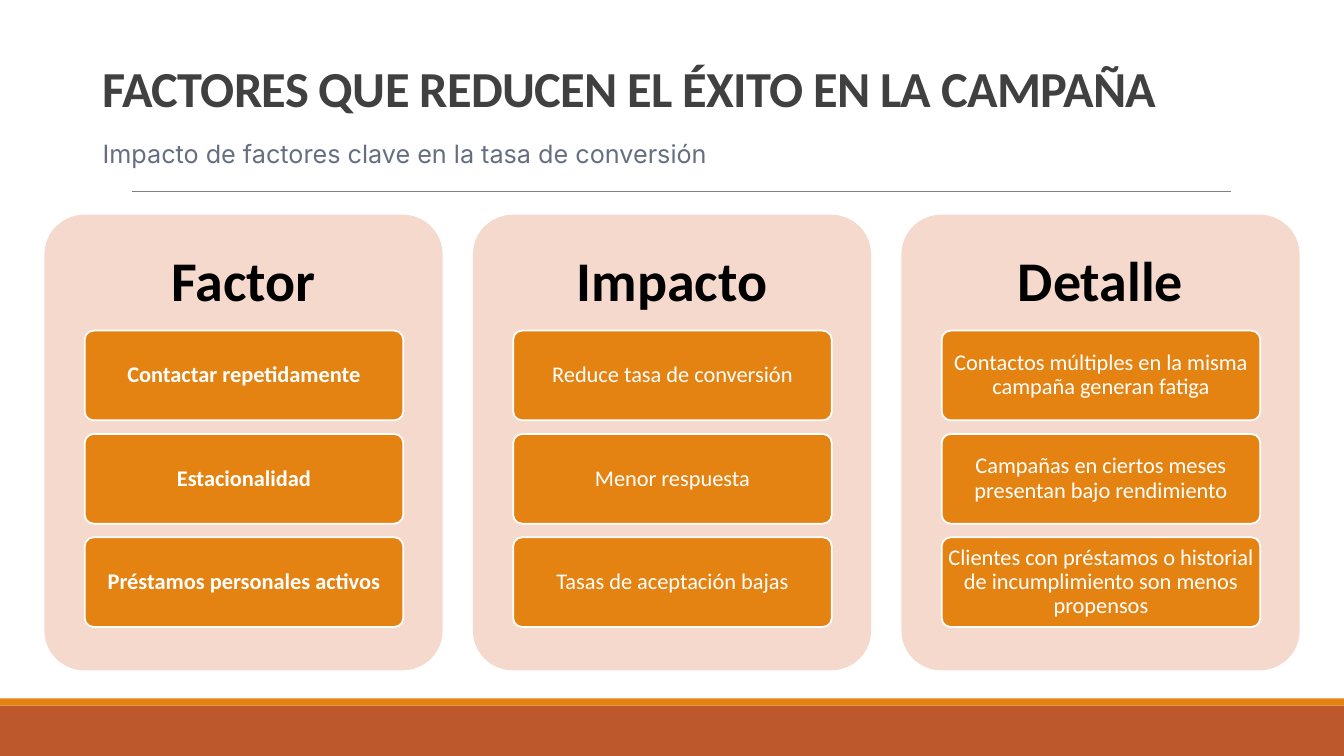
"""Build the slide on the factors that reduce campaign success."""
from pptx import Presentation
from pptx.dml.color import RGBColor
from pptx.enum.shapes import MSO_CONNECTOR, MSO_SHAPE
from pptx.enum.text import MSO_ANCHOR, MSO_AUTO_SIZE, PP_ALIGN
from pptx.oxml.ns import qn
from pptx.util import Inches, Pt
from lxml import etree

RECT, ROUNDED = MSO_SHAPE.RECTANGLE, MSO_SHAPE.ROUNDED_RECTANGLE
STRAIGHT = MSO_CONNECTOR.STRAIGHT
MIDDLE, BOTTOM = MSO_ANCHOR.MIDDLE, MSO_ANCHOR.BOTTOM
LEFT, CENTER = PP_ALIGN.LEFT, PP_ALIGN.CENTER
NO_FIT, GROW = MSO_AUTO_SIZE.NONE, MSO_AUTO_SIZE.SHAPE_TO_FIT_TEXT

RUST = RGBColor(0xBD, 0x58, 0x2C)
ORANGE = RGBColor(0xE4, 0x83, 0x12)
BLUSH = RGBColor(0xF5, 0xD9, 0xCC)
WHITE = RGBColor(0xFF, 0xFF, 0xFF)
BLACK = RGBColor(0x00, 0x00, 0x00)
CHARCOAL = RGBColor(0x40, 0x40, 0x40)
GRAY = RGBColor(0x80, 0x80, 0x80)
SLATE = RGBColor(0x66, 0x6F, 0x82)

COLUMNS = {
    "Factor": [
        "Contactar repetidamente",
        "Estacionalidad",
        "Préstamos personales activos",
    ],
    "Impacto": [
        "Reduce tasa de conversión",
        "Menor respuesta",
        "Tasas de aceptación bajas",
    ],
    "Detalle": [
        "Contactos múltiples en la misma campaña generan fatiga",
        "Campañas en ciertos meses presentan bajo rendimiento",
        "Clientes con préstamos o historial de incumplimiento son menos propensos",
    ],
}
TITLE_FONT = {"name": "Calibri", "size": Pt(36), "bold": True}
SUBTITLE_FONT = {"name": "Inter", "size": Pt(18)}
HEADING_FONT = {"name": "Calibri", "size": Pt(40), "bold": True}
CARD_FONT = {"name": "Calibri", "size": Pt(16)}


def add_block(kind, left, top, width, height, color):
    block = slide.shapes.add_shape(
        kind, Inches(left), Inches(top), Inches(width), Inches(height))
    block.shadow.inherit = False
    block.fill.solid()
    block.fill.fore_color.rgb = color
    block.line.fill.background()
    if kind == ROUNDED:
        block.adjustments[0] = 0.1
    return block


def write(holder, text, font, color, frame_format, paragraph_format):
    frame = holder.text_frame
    paragraph = frame.paragraphs[0]
    run = paragraph.add_run()
    run.text = text
    run.font.color.rgb = color
    for target, values in (
            (frame, {"word_wrap": True, **frame_format}),
            (paragraph, paragraph_format),
            (run.font, font)):
        for key, value in values.items():
            setattr(target, key, value)
    return run


deck = Presentation()
deck.slide_width, deck.slide_height = Inches(13.33), Inches(7.5)
slide = deck.slides.add_slide(deck.slide_layouts[5])

add_block(RECT, 0, 7, 13.33, 0.5, RUST)
add_block(RECT, 0, 6.93, 13.33, 0.07, ORANGE)

divider = slide.shapes.add_connector(
    STRAIGHT, Inches(1.31), Inches(1.9), Inches(12.21), Inches(1.9))
divider.line.color.rgb = GRAY
divider.line.width = Pt(0.5)
etree.SubElement(divider.element.spPr, qn("a:effectLst"))

title = slide.shapes.title
title.left, title.top = Inches(0.92), Inches(0.4)
title.width, title.height = Inches(11.5), Inches(0.82)
title_run = write(
    title, "FACTORES QUE REDUCEN EL ÉXITO EN LA CAMPAÑA", TITLE_FONT, CHARCOAL,
    {"vertical_anchor": BOTTOM, "auto_size": NO_FIT},
    {"alignment": LEFT, "line_spacing": 0.85})
title_run.font._element.set("spc", "-50")

subtitle = slide.shapes.add_textbox(
    Inches(0.92), Inches(1.32), Inches(6.67), Inches(0.4))
write(subtitle, "Impacto de factores clave en la tasa de conversión",
      SUBTITLE_FONT, SLATE, {"auto_size": GROW}, {"alignment": LEFT})

sides = ("margin_left", "margin_top", "margin_right", "margin_bottom")
heading_frame = {"vertical_anchor": MIDDLE, **dict.fromkeys(sides, Inches(0.17))}
card_frame = {"vertical_anchor": MIDDLE,
              **dict(zip(sides, map(Inches, (0.04, 0.03, 0.04, 0.03))))}
centered = {"alignment": CENTER, "line_spacing": 0.9}

for column, (heading, entries) in enumerate(COLUMNS.items()):
    panel_left = 0.44 + 4.25 * column
    add_block(ROUNDED, panel_left, 2.13, 3.95, 4.52, BLUSH)
    heading_box = slide.shapes.add_textbox(
        Inches(panel_left), Inches(2.13), Inches(3.95), Inches(1.36))
    write(heading_box, heading, HEADING_FONT, BLACK, heading_frame, centered)

    for row, entry in enumerate(entries):
        card = add_block(
            ROUNDED, panel_left + 0.4, 3.28 + 1.025 * row, 3.16, 0.89, ORANGE)
        card.line.color.rgb = WHITE
        card.line.width = Pt(1.25)
        write(card, entry, {**CARD_FONT, "bold": column == 0}, WHITE,
              card_frame, centered)

deck.save("out.pptx")
